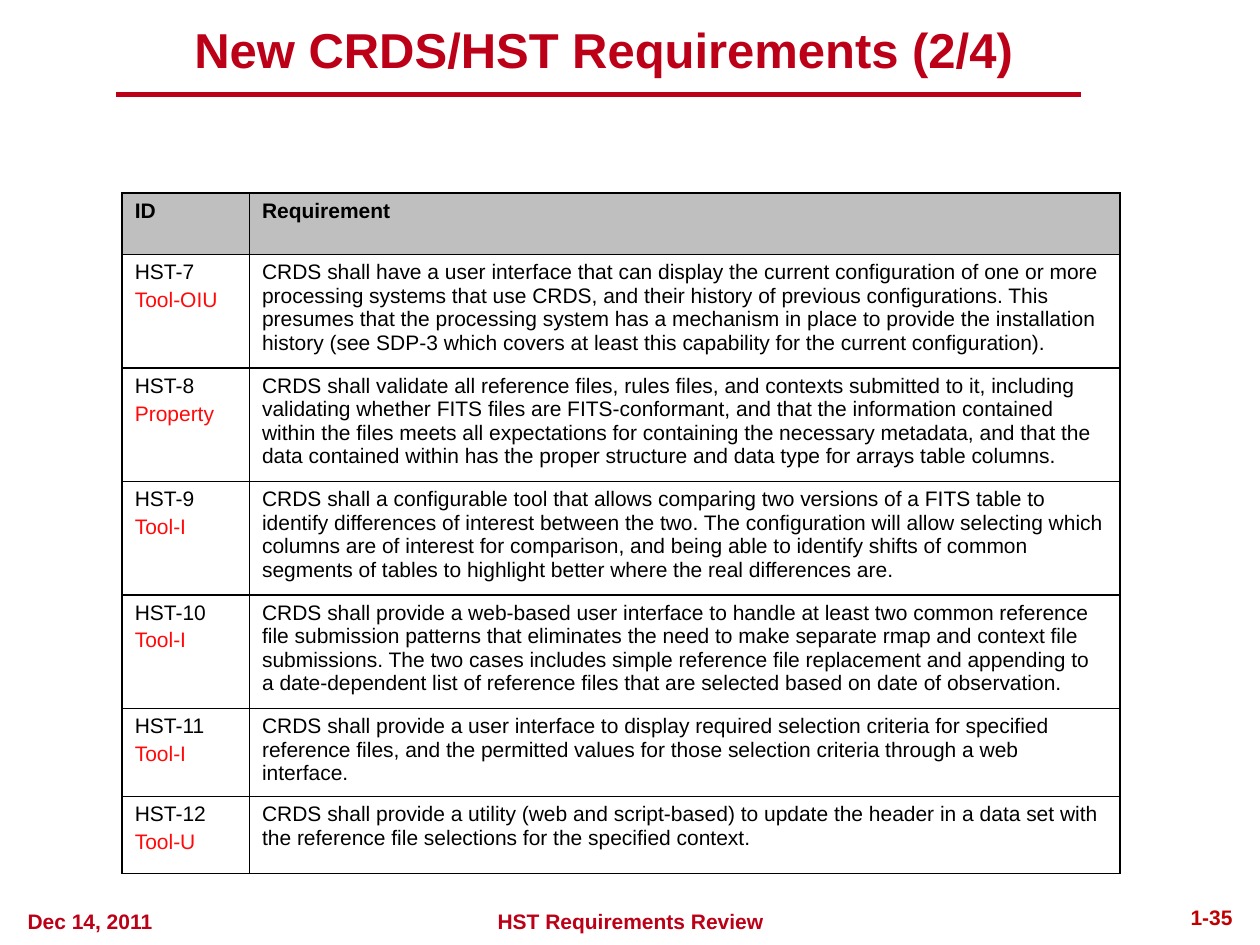
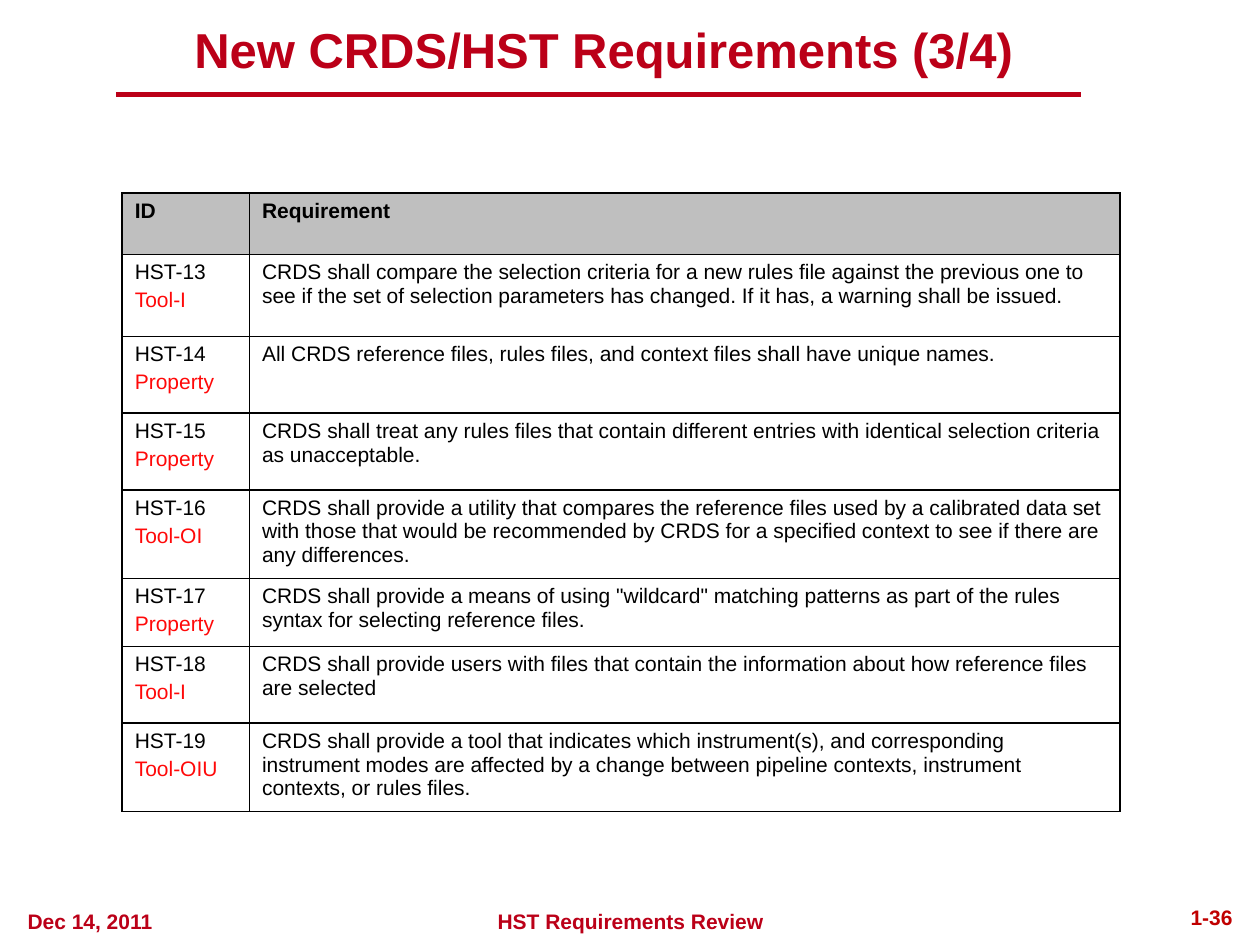
from dataclasses import dataclass

from lxml.etree import SubElement
from pptx import Presentation
from pptx.dml.color import RGBColor
from pptx.enum.shapes import MSO_CONNECTOR as Connector
from pptx.enum.text import MSO_ANCHOR as Anchor, PP_ALIGN as Align
from pptx.oxml.ns import qn
from pptx.slide import Slide
from pptx.table import _Cell as Cell
from pptx.text.text import _Paragraph as Paragraph
from pptx.util import Inches, Pt

CRIMSON = RGBColor(0xBB, 0x00, 0x18)
DARK_RED = RGBColor(0xC0, 0x00, 0x00)
TAG_RED = RGBColor(0xFF, 0x09, 0x09)
BLACK = RGBColor(0x00, 0x00, 0x00)
HEADER_GRAY = RGBColor(0xBF, 0xBF, 0xBF)

COLUMN_WIDTHS = (1.01, 6.91)
ROW_HEIGHTS = (0.49, 0.65, 0.61, 0.61, 0.7, 0.54, 0.61, 0.61)


@dataclass(frozen=True)
class Label:
    """Place and look of a line of text outside the table."""

    left: float
    top: float
    width: float
    height: float
    format: dict
    size: int = 12
    color: RGBColor = CRIMSON
    anchor: Anchor = Anchor.TOP


@dataclass(frozen=True)
class Requirement:
    """One table row: identifier, category and wording."""

    id: str
    category: str
    text: str


@dataclass(frozen=True)
class RequirementsPage:
    """Content of one slide."""

    sequence: str
    number: str
    requirements: tuple[Requirement, ...]


TITLE = Label(1, 0.17, 7.58, 0.44, {"alignment": Align.CENTER}, 28, anchor=Anchor.MIDDLE)
DATE = Label(0.12, 7.16, 1.49, 0.3, {"alignment": Align.LEFT})
REVIEW = Label(1.7, 7.16, 6.61, 0.3, {"alignment": Align.CENTER})
NUMBER = Label(8.4, 7.15, 1.48, 0.31, {"alignment": Align.RIGHT, "line_spacing": 0.9}, color=DARK_RED)

PAGES = (
    RequirementsPage("2/4", "1-35", (
        Requirement("HST-7", "Tool-OIU", "CRDS shall have a user interface that can display the current configuration of one or more processing systems that use CRDS, and their history of previous configurations. This presumes that the processing system has a mechanism in place to provide the installation history (see SDP-3 which covers at least this capability for the current configuration)."),
        Requirement("HST-8", "Property", "CRDS shall validate all reference files, rules files, and contexts submitted to it, including validating whether FITS files are FITS-conformant, and that the information contained within the files meets all expectations for containing the necessary metadata, and that the data contained within has the proper structure and data type for arrays table columns."),
        Requirement("HST-9", "Tool-I", "CRDS shall a configurable tool that allows comparing two versions of a FITS table to identify differences of interest between the two. The configuration will allow selecting which columns are of interest for comparison, and being able to identify shifts of common segments of tables to highlight better where the real differences are."),
        Requirement("HST-10", "Tool-I", "CRDS shall provide a web-based user interface to handle at least two common reference file submission patterns that eliminates the need to make separate rmap and context file submissions. The two cases includes simple reference file replacement and appending to a date-dependent list of reference files that are selected based on date of observation."),
        Requirement("HST-11", "Tool-I", "CRDS shall provide a user interface to display required selection criteria for specified reference files, and the permitted values for those selection criteria through a web interface."),
        Requirement("HST-12", "Tool-U", "CRDS shall provide a utility (web and script-based) to update the header in a data set with the reference file selections for the specified context."),
    )),
    RequirementsPage("3/4", "1-36", (
        Requirement("HST-13", "Tool-I", "CRDS shall compare the selection criteria for a new rules file against the previous one to see if the set of selection parameters has changed. If it has, a warning shall be issued."),
        Requirement("HST-14", "Property", "All CRDS reference files, rules files, and context files shall have unique names."),
        Requirement("HST-15", "Property", "CRDS shall treat any rules files that contain different entries with identical selection criteria  as unacceptable."),
        Requirement("HST-16", "Tool-OI", "CRDS shall provide a utility that compares the reference files used by a calibrated data set with those that would be recommended by CRDS for a specified context to see if there are any differences."),
        Requirement("HST-17", "Property", "CRDS shall provide a means of using \"wildcard\" matching patterns as part of the rules syntax for selecting reference files."),
        Requirement("HST-18", "Tool-I", "CRDS shall provide users with files that contain the information about how reference files are selected"),
        Requirement("HST-19", "Tool-OIU", "CRDS shall provide a tool that indicates which instrument(s), and corresponding instrument modes are affected by a change between pipeline contexts, instrument contexts, or rules files."),
    )),
)


def write(p: Paragraph, text: str, color: RGBColor = BLACK, size: int = 12, bold: bool = False) -> None:
    """Add a formatted run to a paragraph."""
    r = p.add_run()
    r.text = text
    for name, value in {"name": "Arial", "size": Pt(size), "bold": bold}.items():
        setattr(r.font, name, value)
    r.font.color.rgb = color


def add_label(s: Slide, label: Label, text: str) -> None:
    """Place a bold line of text."""
    box = (label.left, label.top, label.width, label.height)
    tf = s.shapes.add_textbox(*map(Inches, box)).text_frame
    tf.word_wrap = True
    tf.vertical_anchor = label.anchor
    p = tf.paragraphs[0]
    for name, value in label.format.items():
        setattr(p, name, value)
    write(p, text, label.color, label.size, bold=True)


def add_title_rule(s: Slide) -> None:
    """Draw the line under the title."""
    rule = s.shapes.add_connector(Connector.STRAIGHT, *map(Inches, (0.92, 0.75, 8.58, 0.75)))
    rule.line.color.rgb = CRIMSON
    rule.line.width = Pt(3)
    SubElement(rule._element.spPr, qn("a:effectLst"))


def style_cell(cell: Cell, header: bool) -> None:
    """Give a cell black borders and its fill."""
    tc_pr = cell._tc.get_or_add_tcPr()
    for side in ("lnL", "lnR", "lnT", "lnB"):
        ln = SubElement(tc_pr, qn(f"a:{side}"), w=str(Pt(1)))
        fill = SubElement(ln, qn("a:solidFill"))
        SubElement(fill, qn("a:srgbClr"), val=str(BLACK))
    if header:
        cell.fill.solid()
        cell.fill.fore_color.rgb = HEADER_GRAY
    else:
        cell.fill.background()


def add_requirements(s: Slide, requirements: tuple[Requirement, ...]) -> None:
    """Build the table of requirements."""
    heights = ROW_HEIGHTS[:len(requirements) + 1]
    box = (0.97, 1.53, sum(COLUMN_WIDTHS), sum(heights))
    table = s.shapes.add_table(len(heights), len(COLUMN_WIDTHS), *map(Inches, box)).table
    table.first_row = table.horz_banding = False
    for column, width in zip(table.columns, COLUMN_WIDTHS):
        column.width = Inches(width)
    for i, (row, height) in enumerate(zip(table.rows, heights)):
        row.height = Inches(height)
        for cell in row.cells:
            style_cell(cell, header=i == 0)
    for cell, heading in zip(table.rows[0].cells, ("ID", "Requirement")):
        write(cell.text_frame.paragraphs[0], heading, bold=True)
    for i, requirement in enumerate(requirements, start=1):
        id_tf = table.cell(i, 0).text_frame
        write(id_tf.paragraphs[0], requirement.id)
        p = id_tf.add_paragraph()
        p.space_before = Pt(2.4)
        write(p, requirement.category, TAG_RED)
        write(table.cell(i, 1).text_frame.paragraphs[0], requirement.text)


def add_page(prs: Presentation, page: RequirementsPage) -> None:
    """Build one slide."""
    s = prs.slides.add_slide(prs.slide_layouts[6])
    add_title_rule(s)
    add_label(s, TITLE, f"New CRDS/HST Requirements ({page.sequence})")
    add_requirements(s, page.requirements)
    add_label(s, DATE, "Dec 14, 2011")
    add_label(s, REVIEW, "HST Requirements Review")
    add_label(s, NUMBER, page.number)


def main() -> None:
    """Build and save the presentation."""
    prs = Presentation()
    prs.slide_width, prs.slide_height = Inches(10), Inches(7.5)
    for page in PAGES:
        add_page(prs, page)
    prs.save("out.pptx")


if __name__ == "__main__":
    main()
